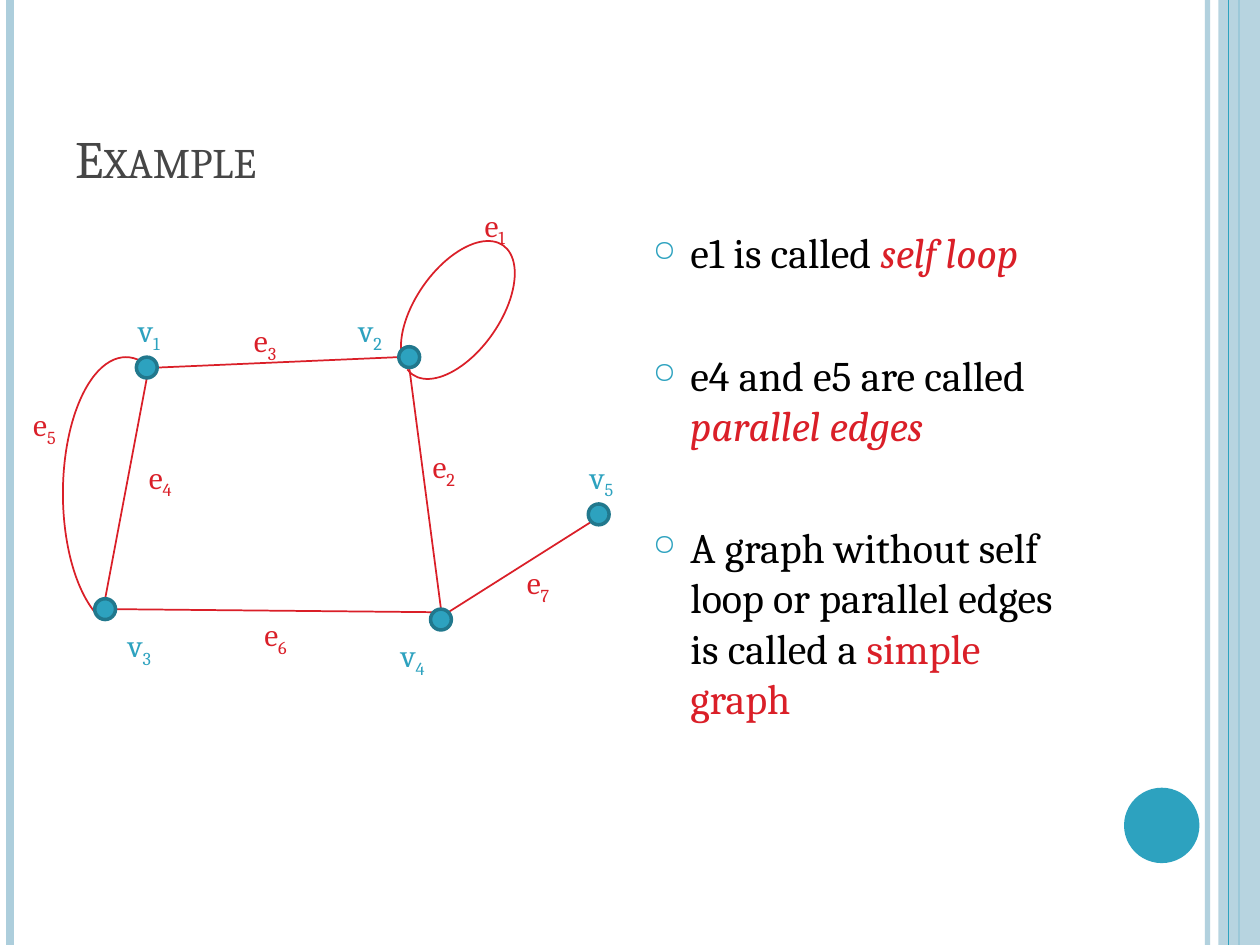
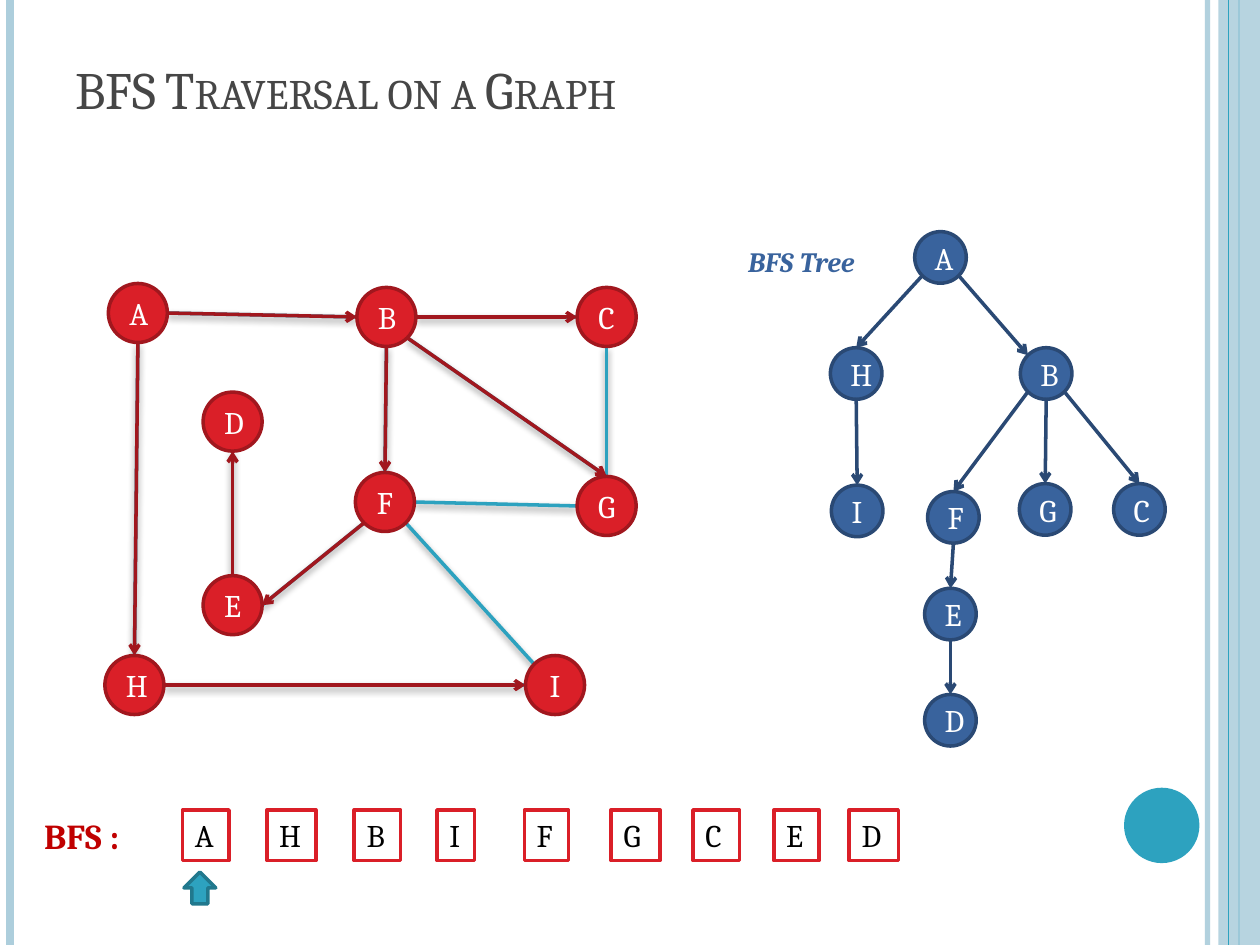
import math

from lxml import etree
from pptx import Presentation
from pptx import util as u
from pptx.dml import color
from pptx.enum import shapes, text
from pptx.oxml import ns

FONT = "Cambria"
TEAL, TEAL_DARK, PALE = "2DA2BF", "21788D", "ADCEDC"
RED, RED_DARK, CRIMSON = "DA1F28", "A1171E", "C00000"
BLUE, BLUE_DARK = "39639D", "2A4974"
GREY, BLACK, WHITE = "464646", "000000", "FFFFFF"
KIND = shapes.MSO_SHAPE
TOP, BOTTOM, RIGHT, LEFT = 0, 4, 6, 2
TOP_LEFT, BOTTOM_LEFT, BOTTOM_RIGHT, TOP_RIGHT = 1, 3, 5, 7


def rgb(code):
    """Turn a hex string into a colour."""
    return color.RGBColor.from_string(code)


def put(obj, fmt):
    """Set every attribute named in a dict of format values."""
    for name, value in fmt.items():
        setattr(obj, name, value)


def add_xml(parent, tag, **attrs):
    """Append a drawing element with its attributes."""
    el = etree.SubElement(parent, ns.qn("a:" + tag))
    for name, value in attrs.items():
        el.set(name, str(value))
    return el


def fade(fill, percent):
    """Make a solid fill partly transparent."""
    clr = fill._xPr.find(".//" + ns.qn("a:srgbClr"))
    add_xml(clr, "alpha", val=percent * 1000)


def add_run(p, words, size, colour, cap=None, base=None, **fmt):
    """Add one formatted run to a paragraph."""
    r = p.add_run()
    r.text = words
    put(r.font, {"name": FONT, "size": u.Pt(size), **fmt})
    r.font.color.rgb = rgb(colour)
    for name, value in (("cap", cap), ("baseline", base)):
        if value:
            r.font._element.set(name, value)
    return r


def add_shape(s, kind, box, fill=None, line=None, width=2):
    """Add a preset shape without shadow, its box in centimetres."""
    sp = s.shapes.add_shape(kind, *map(u.Cm, box))
    sp.shadow.inherit = False
    if fill:
        sp.fill.solid()
        sp.fill.fore_color.rgb = rgb(fill)
    else:
        sp.fill.background()
    if line:
        sp.line.color.rgb = rgb(line)
        sp.line.width = u.Pt(width)
    else:
        sp.line.fill.background()
    return sp


def add_line(s, start, end, colour, width, arrow=False, shadow=False):
    """Add a straight line, with an arrowhead or soft shadow if asked."""
    sp = s.shapes.add_connector(shapes.MSO_CONNECTOR.STRAIGHT,
                                *map(u.Cm, (*start, *end)))
    sp.line.color.rgb = rgb(colour)
    sp.line.width = u.Pt(width)
    if arrow:
        add_xml(sp.line._get_or_add_ln(), "tailEnd", type="arrow")
    effects = add_xml(sp._element.spPr, "effectLst")
    if shadow:
        outer = add_xml(effects, "outerShdw", blurRad=u.Pt(4), dist=u.Pt(2),
                        dir=5400000, rotWithShape=0)
        add_xml(add_xml(outer, "srgbClr", val=BLACK), "alpha", val=40000)
    return sp


def add_text(s, box, wrap=False, anchor=text.MSO_ANCHOR.TOP):
    """Add a text box and return its frame."""
    tf = s.shapes.add_textbox(*map(u.Cm, box)).text_frame
    grow = text.MSO_AUTO_SIZE.NONE if wrap else text.MSO_AUTO_SIZE.SHAPE_TO_FIT_TEXT
    put(tf, {"word_wrap": wrap, "auto_size": grow, "vertical_anchor": anchor})
    return tf


def site(centre, size, index):
    """Give one of a circle's eight sites, counted leftwards from the top."""
    angle = math.radians(90 + 45 * index)
    return (centre[0] + size / 2 * math.cos(angle),
            centre[1] - size / 2 * math.sin(angle))


def shift(box, points):
    """Move named points from the box's corner to the slide."""
    return {name: (box[0] + x, box[1] + y) for name, (x, y) in points.items()}


def add_edges(s, nodes, size, edges, **fmt):
    """Draw lines between sites of named nodes."""
    for a, i, b, j in edges:
        add_line(s, site(nodes[a], size, i), site(nodes[b], size, j), **fmt)


def add_nodes(s, nodes, size, fill, line, named=True):
    """Draw a circle at each node, with its name if asked."""
    for name, (x, y) in nodes.items():
        box = (x - size / 2, y - size / 2, size, size)
        sp = add_shape(s, KIND.OVAL, box, fill, line)
        if named:
            p = sp.text_frame.paragraphs[0]
            p.alignment = text.PP_ALIGN.CENTER
            add_run(p, name, 18, WHITE)


def add_frame(s, w, h):
    """Draw the side bands and the disc that every slide carries."""
    def upright(x, colour, width):
        return add_line(s, (x, 0), (x, h), colour, width)

    fade(upright(w - 1.06, PALE, 3).line.fill, 93)
    upright(0.21, PALE, 4.5)
    upright(w - 0.42, TEAL, 1.5)
    fade(add_shape(s, KIND.RECTANGLE, (w - 0.84, 0, 0.84, h), PALE).fill, 87)
    upright(w - 0.63, TEAL, 0.75)
    add_shape(s, KIND.OVAL, (w - 2.74, h - 3.17, 1.52, 1.52), TEAL)


def add_title(s, box, words):
    """Write the slide title in small capitals."""
    tf = add_text(s, box, True, text.MSO_ANCHOR.BOTTOM)
    add_run(tf.paragraphs[0], words, 30, GREY, cap="small")


def add_edge_graph(s, box):
    """Draw the graph with a self loop and parallel edges."""
    size = 0.42
    nodes = shift(box, {"v1": (2.54, 3.39), "v2": (7.83, 3.18),
                        "v3": (1.7, 8.26), "v4": (8.47, 8.47),
                        "v5": (11.65, 6.35)})
    labels = shift(box, {
        "v1": (2.12, 2.12), "v2": (6.56, 2.12), "v3": (1.91, 8.47),
        "v4": (7.41, 8.68), "v5": (11.22, 5.08), "e1": (9.1, 0),
        "e2": (8.05, 4.87), "e3": (4.45, 2.33), "e4": (2.33, 5.08),
        "e5": (0, 4.02), "e6": (4.66, 8.26), "e7": (9.95, 7.2)})
    edges = [("v1", BOTTOM, "v3", TOP), ("v2", BOTTOM, "v4", TOP),
             ("v1", RIGHT, "v2", LEFT), ("v3", RIGHT, "v4", TOP_LEFT),
             ("v4", TOP_RIGHT, "v5", BOTTOM_LEFT)]
    arcs = [((7.96, 0.64, 1.7, 3.18), 35, (101.6, 95.4)),
            ((0.85, 3.18, 2.54, 5.5), 0, (101.4, 284.4))]
    add_edges(s, nodes, size, edges, colour=RED, width=1)
    for (x, y, w, h), turn, degrees in arcs:
        arc = add_shape(s, KIND.ARC, (box[0] + x, box[1] + y, w, h),
                        line=RED, width=1)
        arc.rotation = turn
        for i, degree in enumerate(degrees):
            arc.adjustments[i] = degree * 0.6
    for (letter, digit), corner in labels.items():
        p = add_text(s, (*corner, 1.14, 1.02)).paragraphs[0]
        colour = TEAL if letter == "v" else RED
        add_run(p, letter, 18, colour)
        add_run(p, digit, 18, colour, base="-25000")
    add_nodes(s, nodes, size, TEAL, TEAL_DARK, named=False)


def add_definitions(s, box):
    """List the definitions, each ending in a highlighted term."""
    items = [("e1 is called ", "self loop", True),
             ("e4 and e5 are called ", "parallel edges", True),
             ("A graph without self loop or parallel edges is called a ",
              "simple graph", False)]
    tf = add_text(s, box, True)
    for i, (lead, term, italic) in enumerate(items):
        p = tf.add_paragraph() if i else tf.paragraphs[0]
        p.space_before = u.Pt(41 if i else 6)
        pr = p._p.get_or_add_pPr()
        pr.set("marL", str(u.Cm(0.76)))
        pr.set("indent", str(-u.Cm(0.76)))
        add_xml(add_xml(pr, "buClr"), "srgbClr", val=TEAL)
        add_xml(pr, "buSzPct", val=70000)
        add_xml(pr, "buChar", char="○")
        add_run(p, lead, 24, BLACK)
        add_run(p, term, 24, RED, italic=italic)


def add_bfs_graph(s, box):
    """Draw the graph with its traversed edges as arrows."""
    size = 1.19
    nodes = shift(box, {"A": (0.68, 0.61), "B": (5.69, 0.69), "C": (10.13, 0.69),
                        "D": (2.59, 2.8), "E": (2.59, 6.5), "F": (5.66, 4.42),
                        "G": (10.13, 4.5), "H": (0.61, 8.11), "I": (9.09, 8.11)})
    visited = [("A", RIGHT, "B", LEFT), ("A", BOTTOM, "H", TOP),
               ("B", RIGHT, "C", LEFT), ("B", BOTTOM, "F", TOP),
               ("B", BOTTOM_RIGHT, "G", TOP), ("F", BOTTOM_LEFT, "E", RIGHT),
               ("E", TOP, "D", BOTTOM), ("H", RIGHT, "I", LEFT)]
    skipped = [("F", RIGHT, "G", LEFT), ("F", BOTTOM_RIGHT, "I", TOP_LEFT),
               ("G", TOP, "C", BOTTOM)]
    add_edges(s, nodes, size, visited + skipped, colour=TEAL, width=2, shadow=True)
    add_nodes(s, nodes, size, RED, RED_DARK)
    add_edges(s, nodes, size, visited, colour=RED_DARK, width=2, arrow=True)


def add_bfs_tree(s, box):
    """Draw the tree that the traversal yields, with its caption."""
    size = 1.04
    nodes = shift(box, {"A": (4.16, 0.59), "H": (2.46, 2.93), "B": (6.29, 2.93),
                        "I": (2.48, 5.7), "F": (4.42, 5.83), "G": (6.27, 5.67),
                        "C": (8.17, 5.67), "E": (4.36, 7.78), "D": (4.36, 9.92)})
    edges = [("A", BOTTOM_LEFT, "H", TOP), ("A", BOTTOM_RIGHT, "B", TOP_LEFT),
             ("H", BOTTOM, "I", TOP), ("B", BOTTOM_LEFT, "F", TOP),
             ("B", BOTTOM, "G", TOP), ("B", BOTTOM_RIGHT, "C", TOP),
             ("F", BOTTOM, "E", TOP), ("E", BOTTOM, "D", TOP)]
    add_nodes(s, nodes, size, BLUE, BLUE_DARK)
    add_edges(s, nodes, size, edges, colour=BLUE_DARK, width=2, arrow=True)
    tf = add_text(s, (box[0] + 0.03, box[1] + 0.2, 3.15, 0.94))
    add_run(tf.paragraphs[0], "BFS Tree", 16, BLUE, bold=True, italic=True)


def add_visit_order(s, box):
    """Write the visiting order as boxed letters with a pointer."""
    x, y = box[:2]
    cells = [("A", 3.04, 0.94), ("H", 4.74, 0.99), ("B", 6.5, 0.94),
             ("I", 8.17, 0.76), ("F", 9.93, 0.89), ("G", 11.68, 0.99),
             ("C", 13.33, 0.94), ("E", 14.96, 0.91), ("D", 16.48, 0.99)]
    for name, left, width in cells:
        sp = add_shape(s, KIND.RECTANGLE, (x + left, y + 0.03, width, 1.02),
                       WHITE, RED)
        put(sp.text_frame, {"word_wrap": False,
                            "auto_size": text.MSO_AUTO_SIZE.SHAPE_TO_FIT_TEXT,
                            "vertical_anchor": text.MSO_ANCHOR.TOP})
        p = sp.text_frame.paragraphs[0]
        p.alignment = text.PP_ALIGN.LEFT
        add_run(p, name, 18, BLACK)
    tf = add_text(s, (x, y, 2.49, 1.12))
    add_run(tf.paragraphs[0], "BFS :", 20, CRIMSON, bold=True)
    add_shape(s, KIND.UP_ARROW, (x + 3.07, y + 1.28, 0.64, 0.64), TEAL, TEAL_DARK)


def main():
    """Build both slides and save them."""
    prs = Presentation()
    w, h = 25.4, 19.05
    put(prs, {"slide_width": u.Cm(w), "slide_height": u.Cm(h)})
    slides = [
        ("Example", 3.18, [(add_edge_graph, (0.42, 4.02, 12.4, 9.7)),
                           (add_definitions, (12.91, 4.45, 9.1, 13.55))]),
        ("BFS Traversal on a Graph", 1.78,
         [(add_bfs_graph, (2.1, 5.7, 10.8, 8.7)),
          (add_visit_order, (0.64, 16.3, 17.5, 2)),
          (add_bfs_tree, (14.8, 4.6, 8.7, 10.5))]),
    ]
    for title, height, regions in slides:
        s = prs.slides.add_slide(prs.slide_layouts[6])
        add_frame(s, w, h)
        add_title(s, (1.27, 0.76, 20.75, height), title)
        for add_region, box in regions:
            add_region(s, box)
    prs.save("out.pptx")


if __name__ == "__main__":
    main()
